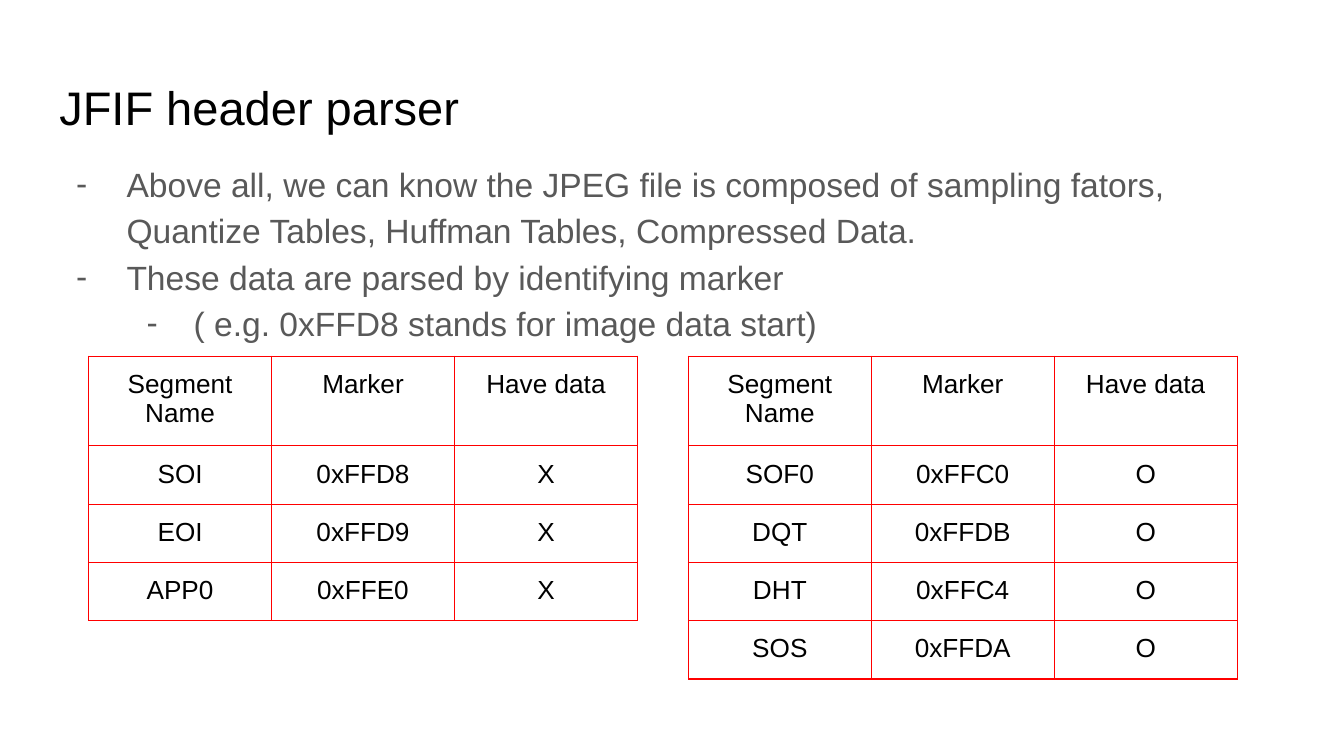
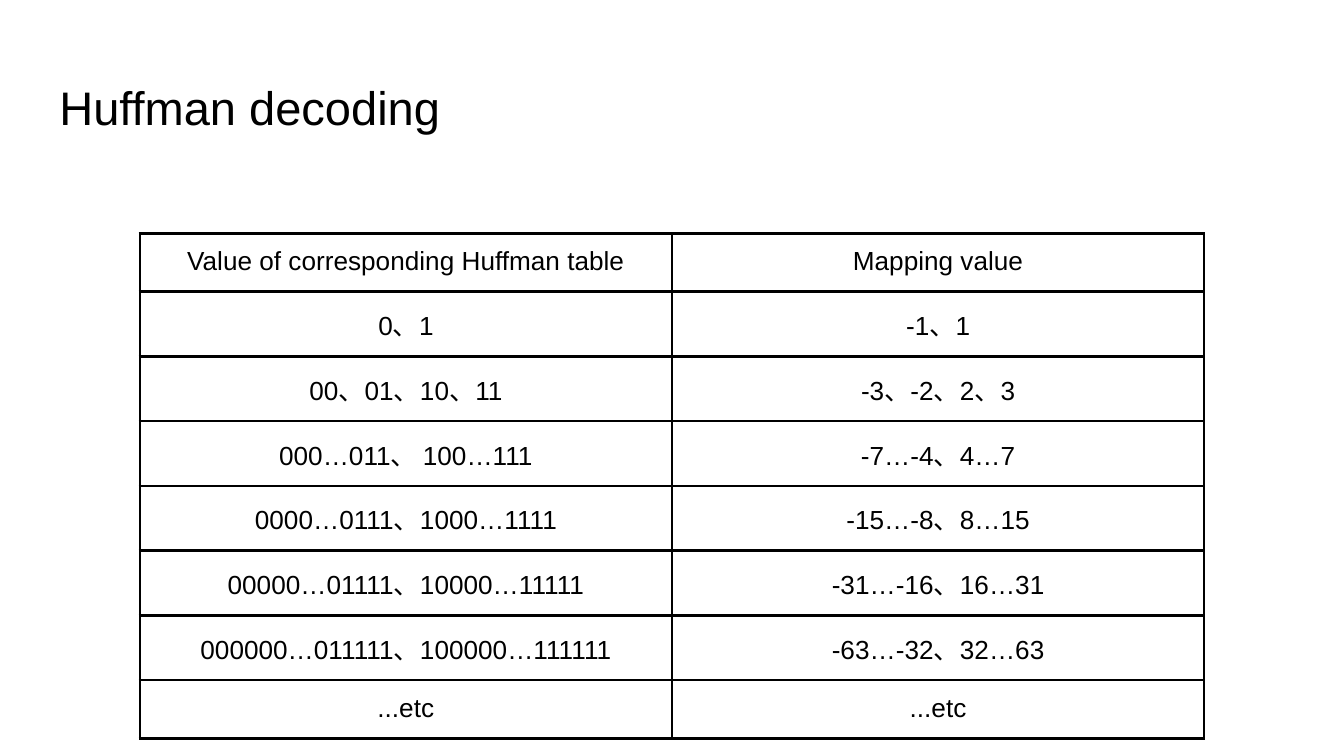
from lxml.etree import SubElement as Sub
from pptx import Presentation as Deck
from pptx.dml.color import RGBColor as Rgb
from pptx.enum.text import PP_ALIGN as Align
from pptx.oxml.ns import qn
from pptx.util import Pt

HUES = {"ink": "000000", "body": "595959", "rule": "FF0000", "page": "FFFFFF"}
INDENTS = [(36, 27), (72, 25.2)]


class Pen:
    """Holds the style of the deck and the slide being drawn."""

    font = "Arial"
    pad = 7.2
    left, width = 24.7, 671

    def __init__(self):
        self.deck = Deck()
        self.deck.slide_width, self.deck.slide_height = Pt(720), Pt(405)
        self.slide = None

    def page(self, title):
        self.slide = self.deck.slides.add_slide(self.deck.slide_layouts[6])
        fill = self.slide.background.fill
        fill.solid()
        fill.fore_color.rgb = Rgb.from_string(HUES["page"])
        frame = self.box(34.9, 45.36)
        self.run(frame.paragraphs[0], title, 25.2, "ink")

    def box(self, top, height):
        shape = self.slide.shapes.add_textbox(
            Pt(self.left), Pt(top), Pt(self.width), Pt(height))
        frame = shape.text_frame
        frame.word_wrap = True
        self.inset(frame)
        return frame

    def inset(self, item):
        item.margin_left = item.margin_right = Pt(self.pad)
        item.margin_top = item.margin_bottom = Pt(self.pad)

    def run(self, para, text, size, hue):
        run = para.add_run()
        run.text = text
        run.font.size, run.font.name = Pt(size), self.font
        run.font.color.rgb = Rgb.from_string(HUES[hue])

    def points(self, top, height, items):
        frame = self.box(top, height)
        for i, (level, text) in enumerate(items):
            para = frame.add_paragraph() if i else frame.paragraphs[0]
            para.level, para.line_spacing = level, 1.15
            self.dash(para, *INDENTS[level])
            self.run(para, text, 18, "body")

    def dash(self, para, left, hang):
        props = para._p.get_or_add_pPr()
        props.set("marL", str(Pt(left)))
        props.set("indent", str(-Pt(hang)))
        tint = Sub(props, qn("a:buClr"))
        Sub(tint, qn("a:srgbClr"), val=HUES["body"])
        Sub(props, qn("a:buFont"), typeface=self.font)
        Sub(props, qn("a:buChar"), char="-")

    def table(self, left, top, wide, highs, hue, line, rows):
        count = len(rows[0])
        table = self.slide.shapes.add_table(
            len(rows), count, Pt(left), Pt(top),
            Pt(wide * count), Pt(sum(highs))).table
        table.first_row = table.horz_banding = False
        for col in table.columns:
            col.width = Pt(wide)
        for row, high, texts in zip(table.rows, highs, rows):
            row.height = Pt(high)
            for cell, text in zip(row.cells, texts):
                self.inset(cell)
                self.edge(cell, hue, line)
                cell.fill.background()
                para = cell.text_frame.paragraphs[0]
                para.alignment = Align.CENTER
                self.run(para, text, 14, "ink")

    def edge(self, cell, hue, line):
        props = cell._tc.get_or_add_tcPr()
        for side in "LRTB":
            rule = Sub(props, qn("a:ln" + side), w=str(Pt(line)))
            fill = Sub(rule, qn("a:solidFill"))
            Sub(fill, qn("a:srgbClr"), val=HUES[hue])


pen = Pen()

pen.page("JFIF header parser")
pen.points(77.4, 269.28, [
    (0, "Above all, we can know the JPEG file is composed of sampling fators, "
        "Quantize Tables, Huffman Tables, Compressed Data."),
    (0, "These data are parsed by identifying marker"),
    (1, "( e.g. 0xFFD8 stands for image data start)"),
])
HEAD = ("Segment Name", "Marker", "Have data")
FILLED = [("SOF0", "0xFFC0"), ("DQT", "0xFFDB"),
          ("DHT", "0xFFC4"), ("SOS", "0xFFDA")]
EMPTY = [("SOI", "0xFFD8"), ("EOI", "0xFFD9"), ("APP0", "0xFFE0")]
for left, marks, flag in [(368.8, FILLED, "O"), (47.52, EMPTY, "X")]:
    rows = [HEAD] + [(*mark, flag) for mark in marks]
    highs = [46] + [31.1] * len(marks)
    pen.table(left, 190.8, 98, highs, "rule", 0.75, rows)

pen.page("Huffman decoding")
codes = [
    ("Value of corresponding Huffman table", "Mapping value"),
    ("0、1", "-1、1"),
    ("00、01、10、11", "-3、-2、2、3"),
    ("000…011、 100…111", "-7…-4、4…7"),
]
for bits in range(4, 7):
    low, high = 2 ** (bits - 1), 2 ** bits - 1
    codes.append((
        f"{'0' * bits}…0{'1' * (bits - 1)}、1{'0' * (bits - 1)}…{'1' * bits}",
        f"-{high}…-{low}、{low}…{high}"))
codes.append(("...etc", "...etc"))
highs = [30.24] + [34.7] * (len(codes) - 2) + [30.24]
pen.table(74.88, 125, 285.12, highs, "ink", 1.5, codes)

pen.deck.save("out.pptx")
